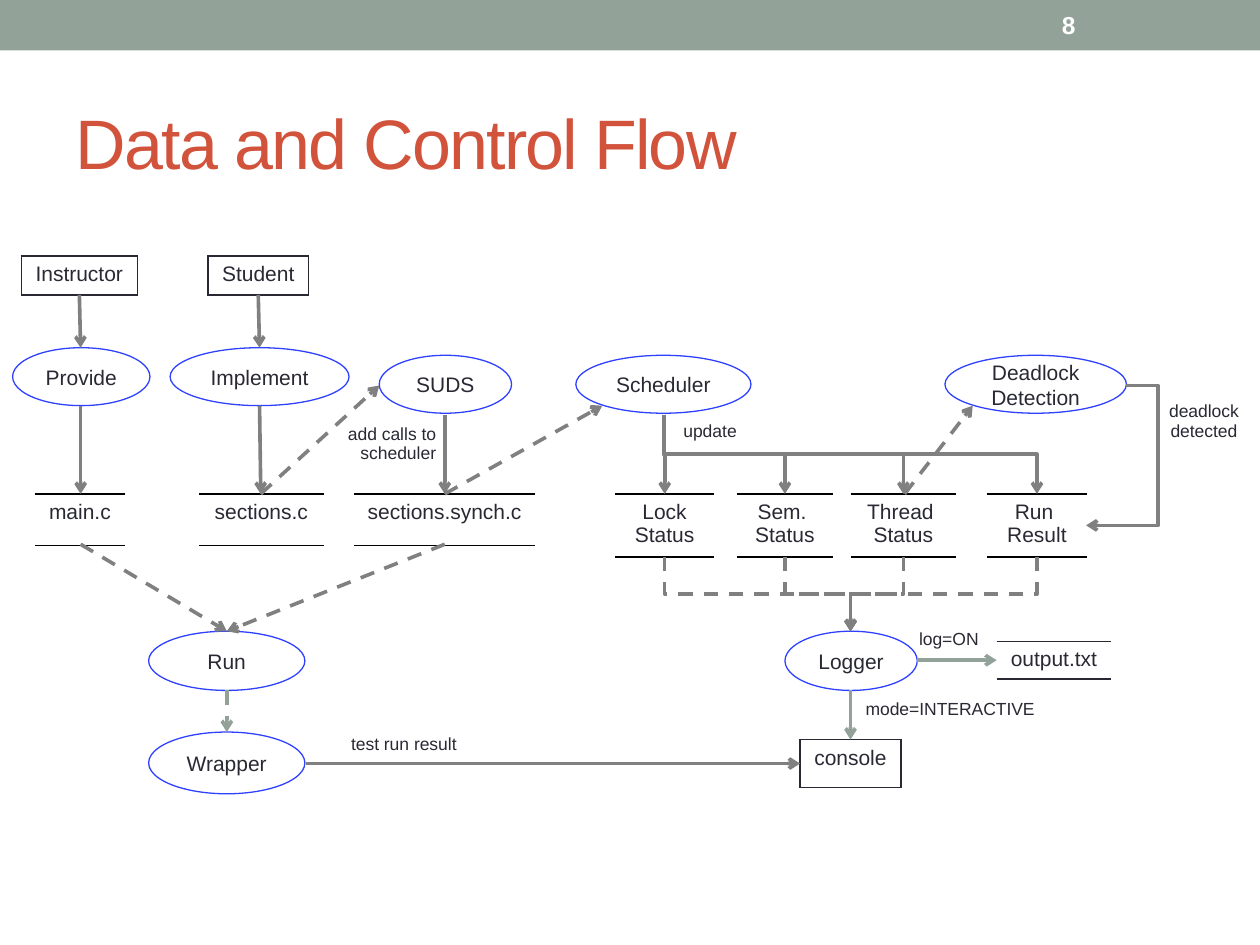
"""Build the data and control flow slide."""
from dataclasses import dataclass

from lxml import etree
from pptx import Presentation
from pptx import util as u
from pptx.dml.color import RGBColor
from pptx.enum import dml, shapes, text
from pptx.oxml.ns import qn

In = u.Inches
LEFT, CENTER, RIGHT = text.PP_ALIGN.LEFT, text.PP_ALIGN.CENTER, text.PP_ALIGN.RIGHT


@dataclass(frozen=True)
class Theme:
    font: str = "Arial"
    band: str = "93A299"
    title: str = "D2533C"
    ink: str = "292934"
    rule: str = "000000"
    process: str = "2F41FF"
    flow: str = "808080"
    white: str = "FFFFFF"
    title_size: int = 40
    number_size: int = 14
    node_size: int = 12
    label_size: int = 10
    flow_width: float = 2.08


T = Theme()


@dataclass(frozen=True)
class Process:
    label: str
    x: float
    y: float
    w: float
    h: float = 0.46


@dataclass(frozen=True)
class Cell:
    label: str
    x: float
    y: float
    w: float
    h: float
    borders: str = ""
    size: int = T.node_size
    color: str = T.rule
    align: text.PP_ALIGN = CENTER


@dataclass(frozen=True)
class Flow:
    x1: float
    y1: float
    x2: float
    y2: float
    dashed: bool = False
    color: str = T.flow


def store(label: str, x: float, w: float, h: float = 0.41) -> Cell:
    return Cell(label, x, 3.92, w, h, "TB")


def entity(label: str, x: float, y: float, w: float, h: float) -> Cell:
    return Cell(label, x, y, w, h, "LRTB", color=T.ink)


def note(label: str, x: float, y: float, w: float, h: float = 0.3,
         align: text.PP_ALIGN = CENTER) -> Cell:
    return Cell(label, x, y, w, h, size=T.label_size, align=align)


PROCESSES = [
    Process("Provide", 0.1, 2.76, 1.09), Process("Implement", 1.35, 2.76, 1.42),
    Process("SUDS", 3.01, 2.82, 1.05), Process("Scheduler", 4.57, 2.82, 1.39),
    Process("Deadlock Detection", 7.5, 2.82, 1.44),
    Process("Run", 1.18, 5.01, 1.24, 0.47), Process("Wrapper", 1.18, 5.81, 1.24, 0.49),
    Process("Logger", 6.23, 5.01, 1.05, 0.47),
]
STATUSES = [
    store("Lock Status", 4.88, 0.79, 0.5), store("Sem. \nStatus", 5.85, 0.76, 0.5),
    store("Thread \nStatus", 6.75, 0.84, 0.5), store("Run \nResult", 7.83, 0.8, 0.5),
]
CELLS = STATUSES + [
    store("main.c", 0.28, 0.71), store("sections.c", 1.58, 0.99),
    store("sections.synch.c", 2.81, 1.44),
    Cell("output.txt", 7.91, 5.09, 0.91, 0.3, "TB", color=T.ink),
    entity("Instructor", 0.17, 2.03, 0.92, 0.31), entity("Student", 1.65, 2.03, 0.8, 0.31),
    entity("console", 6.35, 5.87, 0.8, 0.38),
    note("mode=INTERACTIVE", 6.78, 5.5, 1.6, align=LEFT), note("log=ON", 7.19, 4.95, 0.68),
    note("test run result", 2.62, 5.78, 1.17), note("update", 5.29, 3.3, 0.69),
    note("deadlock detected", 9.15, 3.14, 0.81, 0.43),
    note("add calls to scheduler", 2.59, 3.32, 0.96, 0.43, RIGHT),
]
FLOWS = [
    Flow(0.63, 2.34, 0.64, 2.76), Flow(0.64, 3.22, 0.64, 3.92),
    Flow(2.05, 2.34, 2.06, 2.76), Flow(2.06, 3.22, 2.07, 3.92),
    Flow(3.53, 3.29, 3.53, 3.92), Flow(2.43, 6.06, 6.35, 6.06),
    Flow(2.07, 3.92, 3.01, 3.06, True), Flow(3.53, 3.92, 4.78, 3.22, True),
    Flow(7.18, 3.92, 7.72, 3.22, True), Flow(0.64, 4.32, 1.8, 5.01, True),
    Flow(3.53, 4.32, 1.8, 5.01, True), Flow(1.8, 5.48, 1.8, 5.81, True, T.band),
    Flow(6.75, 5.48, 6.75, 5.87, color=T.band), Flow(7.28, 5.24, 7.91, 5.24, color=T.band),
]


def rgb(color: str) -> RGBColor:
    return RGBColor.from_string(color)


def write(tf, label: str, size: int, color: str, align=CENTER, bold: bool = False) -> None:
    tf.text = label
    for p in tf.paragraphs:
        p.alignment = align
        for r in p.runs:
            r.font.name, r.font.size, r.font.bold = T.font, u.Pt(size), bold
            r.font.color.rgb = rgb(color)


def add_process(slide, node: Process) -> None:
    sp = slide.shapes.add_shape(shapes.MSO_SHAPE.OVAL, *map(In, (node.x, node.y, node.w, node.h)))
    sp.shadow.inherit = False
    sp.fill.background()
    sp.line.color.rgb, sp.line.width = rgb(T.process), u.Pt(0.75)
    tf = sp.text_frame
    tf.word_wrap, tf.vertical_anchor = True, text.MSO_ANCHOR.MIDDLE
    tf.margin_left = tf.margin_right = In(0.05)
    tf.margin_top = tf.margin_bottom = 0
    write(tf, node.label, T.node_size, T.ink)


def add_cell(slide, item: Cell) -> None:
    frame = slide.shapes.add_table(1, 1, *map(In, (item.x, item.y, item.w, item.h)))
    table = frame.table
    table.first_row = table.horz_banding = False
    cell = table.cell(0, 0)
    cell.margin_left = cell.margin_right = In(0.09)
    tc_pr = cell._tc.get_or_add_tcPr()
    for side in "LRTB":
        ln = etree.SubElement(tc_pr, qn(f"a:ln{side}"), w=str(u.Pt(1)))
        if side in item.borders:
            fill = etree.SubElement(ln, qn("a:solidFill"))
            etree.SubElement(fill, qn("a:srgbClr"), val=item.color)
        else:
            etree.SubElement(ln, qn("a:noFill"))
    cell.fill.background()
    write(cell.text_frame, item.label, item.size, T.ink, item.align)


def add_flow(slide, flow: Flow, kind=shapes.MSO_CONNECTOR.STRAIGHT):
    c = slide.shapes.add_connector(kind, *map(In, (flow.x1, flow.y1, flow.x2, flow.y2)))
    c.line.color.rgb, c.line.width = rgb(flow.color), u.Pt(T.flow_width)
    if flow.dashed:
        c.line.dash_style = dml.MSO_LINE.DASH
    etree.SubElement(c.line._get_or_add_ln(), qn("a:tailEnd"), type="arrow")
    etree.SubElement(c._element.spPr, qn("a:effectLst"))
    return c


def add_drop(slide, flow: Flow) -> None:
    """Draw a down-across-down elbow as a rotated connector."""
    cx, cy = (flow.x1 + flow.x2) / 2, (flow.y1 + flow.y2) / 2
    half_w, half_h = (flow.y2 - flow.y1) / 2, abs(flow.x2 - flow.x1) / 2
    rightward = flow.x2 > flow.x1
    dx = -half_w if rightward else half_w
    turned = Flow(cx - dx, cy - half_h, cx + dx, cy + half_h, flow.dashed, flow.color)
    c = add_flow(slide, turned, shapes.MSO_CONNECTOR.ELBOW)
    c._element.spPr.find(qn("a:xfrm")).set("rot", str((270 if rightward else 90) * 60000))


def add_loop(slide, flow: Flow, bend: float) -> None:
    c = add_flow(slide, flow, shapes.MSO_CONNECTOR.ELBOW)
    guides = c._element.spPr.find(qn("a:prstGeom")).get_or_add_avLst()
    etree.SubElement(guides, qn("a:gd"), name="adj1", fmla=f"val {round(bend * 100000)}")


def add_header(slide) -> None:
    band = slide.shapes.add_shape(shapes.MSO_SHAPE.RECTANGLE, 0, 0, In(10), In(0.4))
    band.shadow.inherit = False
    band.fill.solid()
    band.fill.fore_color.rgb = rgb(T.band)
    band.line.fill.background()
    number = slide.shapes.add_textbox(In(8.33), In(0.02), In(1.17), In(0.36))
    write(number.text_frame, "8", T.number_size, T.white, LEFT, True)
    title = slide.shapes.title
    title.left, title.top, title.width, title.height = map(In, (0.5, 0.58, 9, 1.08))
    write(title.text_frame, "Data and Control Flow", T.title_size, T.title, LEFT)
    title.text_frame.paragraphs[0].runs[0].font._element.set("spc", "-100")
    for sp in (number, title):
        tf = sp.text_frame
        tf.word_wrap, tf.auto_size = True, text.MSO_AUTO_SIZE.NONE
        tf.vertical_anchor = text.MSO_ANCHOR.MIDDLE


def main() -> None:
    prs = Presentation()
    prs.slide_width, prs.slide_height = In(10), In(7.5)
    slide = prs.slides.add_slide(prs.slide_layouts[5])
    add_header(slide)
    for item in CELLS:
        add_cell(slide, item)
    for node in PROCESSES:
        add_process(slide, node)
    for flow in FLOWS:
        add_flow(slide, flow)
    for status in STATUSES:
        x = status.x + status.w / 2
        add_drop(slide, Flow(5.27, 3.29, x, 3.92))
        add_drop(slide, Flow(x, 4.42, 6.75, 5.01, True))
    add_loop(slide, Flow(8.94, 3.06, 8.62, 4.17), -0.78)
    prs.save("out.pptx")


if __name__ == "__main__":
    main()
